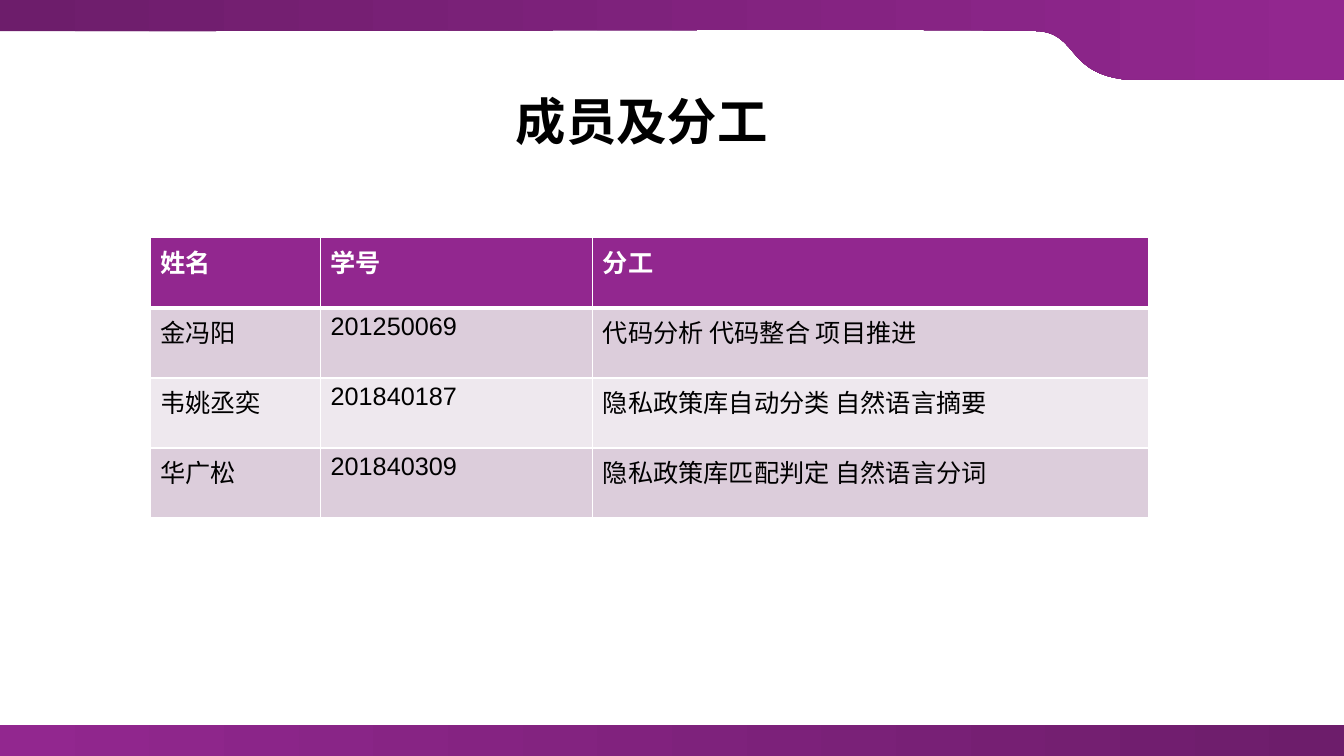
from lxml.etree import SubElement as Sub
from pptx import Presentation
from pptx.dml.color import RGBColor
from pptx.enum.shapes import MSO_SHAPE as Kind
from pptx.enum.text import MSO_ANCHOR as Anchor, PP_ALIGN as Align
from pptx.oxml.ns import qn
from pptx.util import Inches, Pt

TITLE = "成员及分工"
ROWS = [
    ("姓名", "学号", "分工"),
    ("金冯阳", "201250069", "代码分析 代码整合 项目推进"),
    ("韦姚丞奕", "201840187", "隐私政策库自动分类 自然语言摘要"),
    ("华广松", "201840309", "隐私政策库匹配判定 自然语言分词"),
]
COLS = (1.69, 2.7, 5.51)
WIDE, HIGH, BAND, STEP = 13.33, 7.5, 0.31, 0.695
LIGHT, DARK, WHITE, BLACK = "92278F", "6D1D6B", "FFFFFF", "000000"
TINTS = ("EEE8EE", "DCCDDB")
EDGE = [(0, 0), (WIDE, 0), (WIDE, 0.79), (11.16, 0.79), (11.1, 0.78)]
CURVES = [
    ((11.1, 0.78), (10.6, 0.7), (10.67, 0.35), (10.32, 0.31)),
    ((10.32, 0.31), (9.97, 0.28), (3.44, 0.31), (0, 0.31)),
]


def color(code):
    return RGBColor.from_string(code)


def write(frame, text, size=18, tone=BLACK, bold=False, align=Align.LEFT):
    para = frame.paragraphs[0]
    para.alignment = align
    run = para.add_run()
    run.text = text
    font = run.font
    font.name, font.size, font.bold = "Arial", Pt(size), bold
    font.color.rgb = color(tone)


def shade(shape, *tones):
    shape.shadow.inherit = False
    shape.line.fill.background()
    shape.fill.gradient()
    shape.fill.gradient_angle = 0
    for stop, tone in zip(shape.fill.gradient_stops, tones):
        stop.color.rgb = color(tone)


def bend(points, count=32):
    a, b, c, d = points
    for i in range(1, count + 1):
        t = i / count
        u = 1 - t
        yield tuple(
            u**3 * p + 3 * u * u * t * q + 3 * u * t * t * r + t**3 * s
            for p, q, r, s in zip(a, b, c, d)
        )


def border(cell, **widths):
    props = cell._tc.get_or_add_tcPr()
    for side, width in widths.items():
        line = Sub(props, qn(f"a:ln{side}"), w=str(Pt(width)))
        Sub(Sub(line, qn("a:solidFill")), qn("a:srgbClr"), val=WHITE)


def main():
    deck = Presentation()
    deck.slide_width, deck.slide_height = Inches(WIDE), Inches(HIGH)
    slide = deck.slides.add_slide(deck.slide_layouts[5])
    shapes = slide.shapes

    foot = shapes.add_shape(
        Kind.RECTANGLE, 0, Inches(HIGH - BAND), Inches(WIDE), Inches(BAND)
    )
    shade(foot, LIGHT, DARK)

    edge = EDGE + [point for curve in CURVES for point in bend(curve)]
    edge = [(Inches(x), Inches(y)) for x, y in edge]
    banner = shapes.build_freeform(*edge[0], scale=1.0)
    banner.add_line_segments(edge[1:], close=True)
    shade(banner.convert_to_shape(), DARK, LIGHT)

    title = shapes.title
    title.left, title.top = Inches(3.25), Inches(0.84)
    title.width, title.height = Inches(6.23), Inches(0.71)
    title.text_frame.vertical_anchor = Anchor.MIDDLE
    write(title.text_frame, TITLE, size=36, bold=True, align=Align.CENTER)

    table = shapes.add_table(
        len(ROWS), len(COLS), Inches(1.49), Inches(2.36),
        Inches(sum(COLS)), Inches(STEP * len(ROWS)),
    ).table
    for col, width in zip(table.columns, COLS):
        col.width = Inches(width)
    for i, row in enumerate(ROWS):
        head = i == 0
        for j, text in enumerate(row):
            cell = table.cell(i, j)
            border(cell, L=1, R=1, T=3 if i == 1 else 1, B=3 if head else 1)
            cell.fill.solid()
            cell.fill.fore_color.rgb = color(LIGHT if head else TINTS[i % 2])
            write(cell.text_frame, text, tone=WHITE if head else BLACK, bold=head)

    deck.save("out.pptx")


if __name__ == "__main__":
    main()
